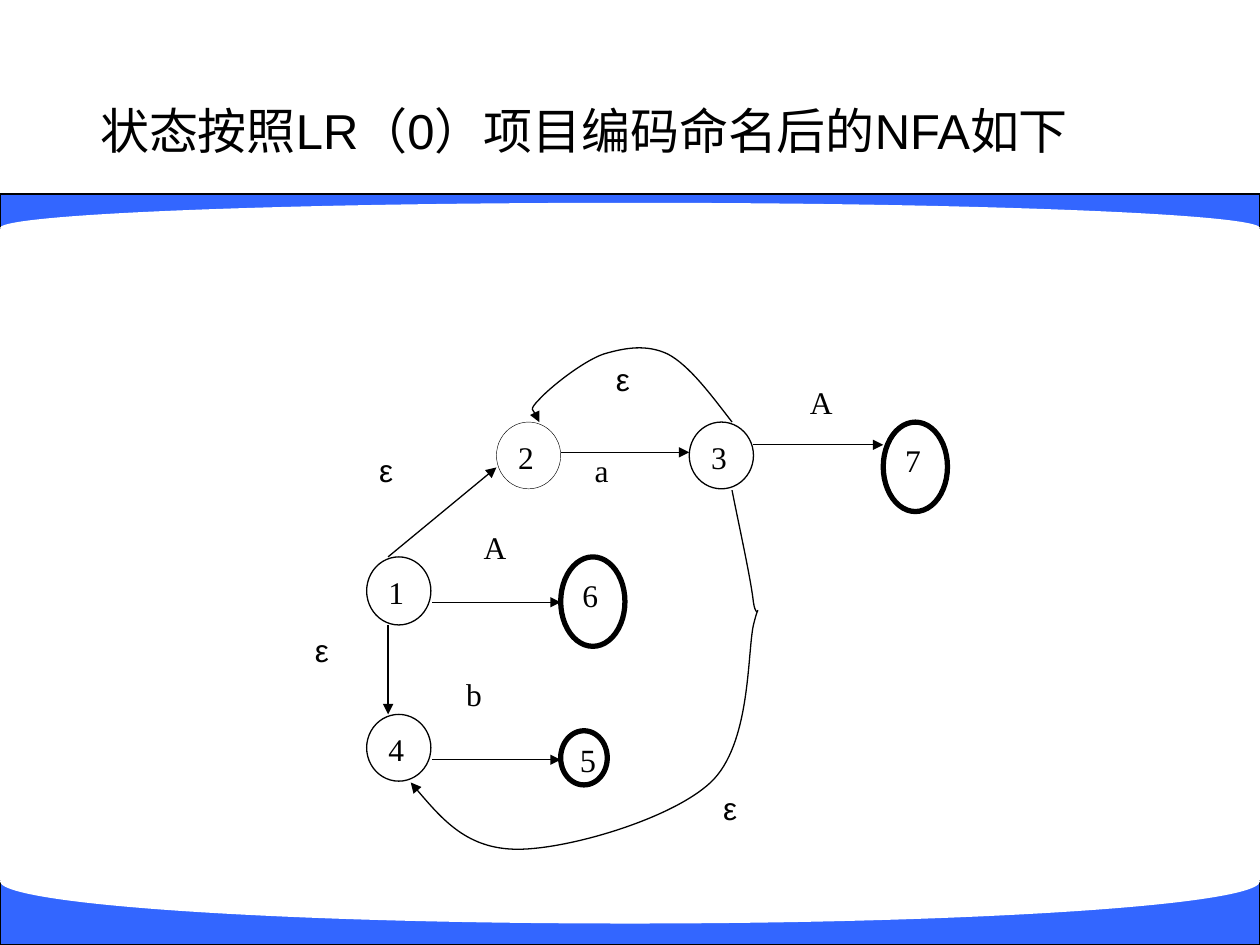
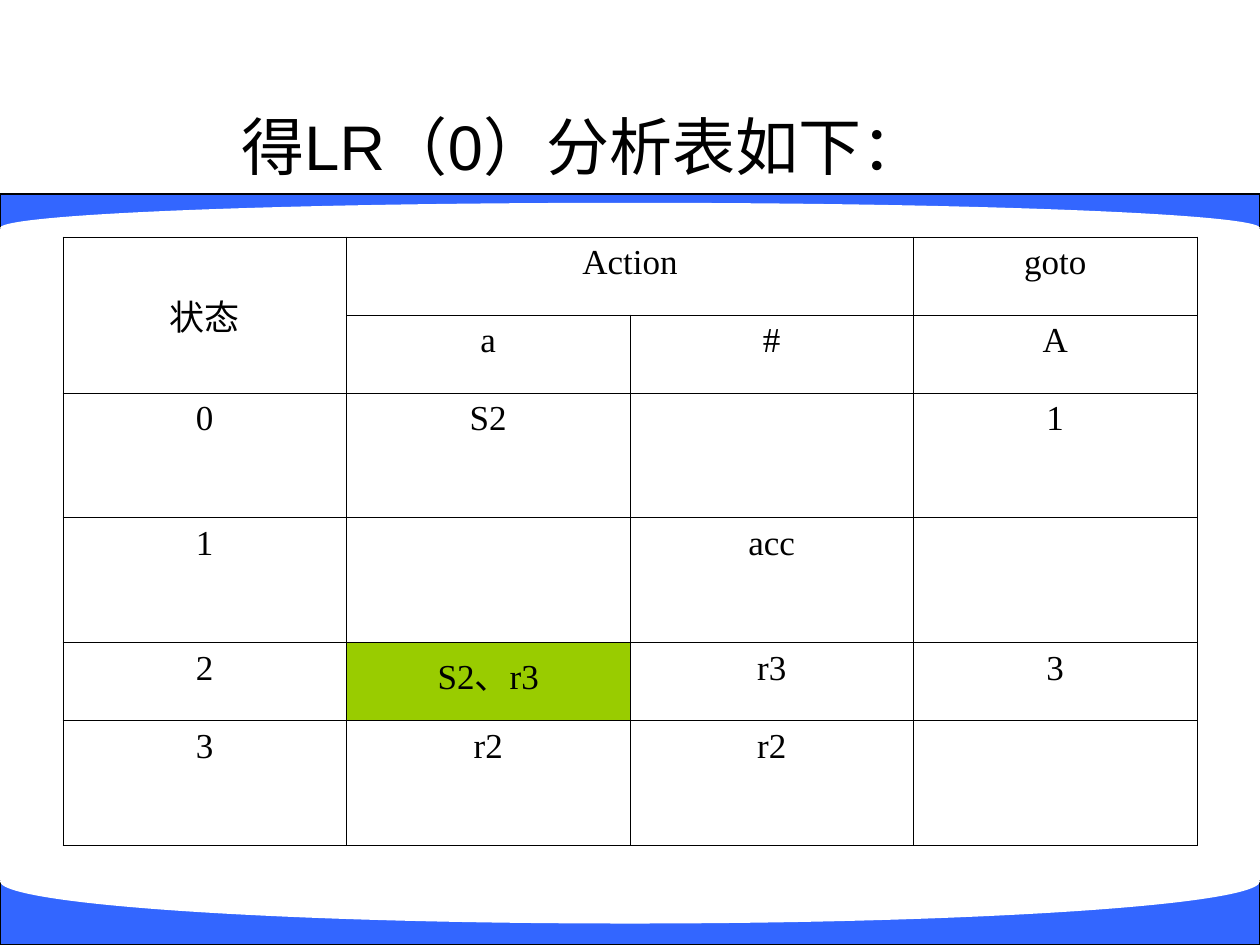
"""Build two slides on LR(0) parsing: the NFA of items and its parsing table."""
from dataclasses import dataclass
from typing import NamedTuple

from lxml import etree
from pptx import Presentation
from pptx.dml.color import RGBColor
from pptx.enum.shapes import MSO_CONNECTOR, MSO_SHAPE
from pptx.enum.text import MSO_ANCHOR, MSO_AUTO_SIZE, PP_ALIGN
from pptx.oxml.ns import qn
from pptx.util import Inches, Pt

OVAL, RECTANGLE = MSO_SHAPE.OVAL, MSO_SHAPE.RECTANGLE
STRAIGHT = MSO_CONNECTOR.STRAIGHT
TOP, MIDDLE = MSO_ANCHOR.TOP, MSO_ANCHOR.MIDDLE
CENTER, JUSTIFY = PP_ALIGN.CENTER, PP_ALIGN.JUSTIFY
NO_AUTOFIT = MSO_AUTO_SIZE.NONE

Point = tuple[float, float]


@dataclass(frozen=True)
class Theme:
    ink: RGBColor = RGBColor(0x00, 0x00, 0x00)
    paper: RGBColor = RGBColor(0xFF, 0xFF, 0xFF)
    band: RGBColor = RGBColor(0x33, 0x66, 0xFF)
    conflict: RGBColor = RGBColor(0x99, 0xCC, 0x00)
    sans: str = "Arial"
    serif: str = "Times New Roman"
    long_title_size: float = 28
    title_size: float = 36
    diagram_size: float = 18
    last_state_size: float = 18.5
    table_size: float = 20
    thin: float = 0.75
    hairline: float = 0.25
    accepting: float = 3
    table_border: float = 0.45


THEME = Theme()


class Box(NamedTuple):
    left: float
    top: float
    width: float
    height: float

    def lengths(self) -> list:
        return [Inches(value) for value in self]


class Band(NamedTuple):
    bar: Box
    curve: Box


class State(NamedTuple):
    number: str
    box: Box
    line: float = THEME.thin
    size: float = THEME.diagram_size
    spacing: float = 1.0


class Arrow(NamedTuple):
    start: Point
    end: Point


class Curve(NamedTuple):
    start: Point
    pieces: list[tuple[Point, Point, Point]]


class Label(NamedTuple):
    symbol: str
    left: float
    top: float
    font: str = THEME.serif


BANDS = [
    Band(Box(0, 1.54, 10, 0.27), Box(0, 1.61, 10, 0.4)),
    Band(Box(0, 6.99, 10, 0.51), Box(0, 6.66, 10, 0.67)),
]
STATES = [
    State("1", Box(2.91, 4.42, 0.51, 0.54)),
    State("4", Box(2.91, 5.67, 0.51, 0.53)),
    State("6", Box(4.45, 4.42, 0.51, 0.71), THEME.accepting),
    State("2", Box(3.94, 3.35, 0.51, 0.53), THEME.hairline),
    State("3", Box(5.47, 3.35, 0.51, 0.53)),
    State("7", Box(7.01, 3.35, 0.51, 0.71), THEME.accepting),
    State("5", Box(4.45, 5.8, 0.37, 0.43), THEME.accepting, THEME.last_state_size, 0.9),
]
ARROWS = [
    Arrow((3.08, 4.42), (3.94, 3.71)),
    Arrow((5.98, 3.53), (7.01, 3.53)),
    Arrow((3.43, 4.78), (4.45, 4.78)),
    Arrow((3.43, 6.03), (4.45, 6.03)),
    Arrow((3.08, 4.96), (3.08, 5.67)),
    Arrow((4.45, 3.59), (5.47, 3.59)),
]
CURVES = [
    Curve((5.81, 3.89), [
        ((5.88, 4.24), (5.96, 4.6), (5.98, 4.78)),
        ((6.01, 4.96), (6.04, 4.72), (5.98, 4.96)),
        ((5.93, 5.19), (5.96, 5.91), (5.64, 6.21)),
        ((5.33, 6.5), (4.51, 6.74), (4.11, 6.74)),
        ((3.71, 6.74), (3.48, 6.47), (3.26, 6.21)),
    ]),
    Curve((5.81, 3.35), [
        ((5.64, 3.13), (5.47, 2.9), (5.3, 2.81)),
        ((5.13, 2.73), (4.96, 2.76), (4.79, 2.81)),
        ((4.62, 2.87), (4.36, 3.08), (4.28, 3.17)),
        ((4.19, 3.26), (4.28, 3.32), (4.28, 3.35)),
    ]),
]
LABELS = [
    Label("ε", 4.79, 2.81, THEME.sans),
    Label("ε", 5.64, 6.21, THEME.sans),
    Label("ε", 2.4, 4.96, THEME.sans),
    Label("ε", 2.91, 3.53, THEME.sans),
    Label("b", 3.6, 5.31),
    Label("A", 6.33, 2.99),
    Label("A", 3.74, 4.14),
    Label("a", 4.62, 3.53),
]
PARSING_TABLE = [
    ["状态", "Action", "", "goto"],
    ["", "a", "#", "A"],
    ["0", "S2", "", "1"],
    ["1", "", "acc", ""],
    ["2", "S2、r3", "r3", "3"],
    ["3", "r2", "r2", ""],
]
ROW_HEIGHTS = [0.62, 0.62, 0.99, 0.99, 0.62, 0.99]
CONFLICT_CELL = (4, 1)


def write(frame, text: str, size: float, font: str, align, spacing: float = 1.0) -> None:
    """Fill a text frame with one formatted run."""
    paragraph = frame.paragraphs[0]
    paragraph.alignment = align
    paragraph.line_spacing = spacing
    run = paragraph.add_run()
    run.text = text
    run.font.size = Pt(size)
    run.font.name = font
    run.font.color.rgb = THEME.ink


def stroke(shape, width: float) -> None:
    """Give a shape or connector a solid ink line."""
    shape.line.color.rgb = THEME.ink
    shape.line.width = Pt(width)


def add_arrowhead(shape) -> None:
    """End a line with a triangle."""
    line = shape.element.spPr.find(qn("a:ln"))
    etree.SubElement(line, qn("a:tailEnd"), type="triangle")


def add_solid(slide, preset, box: Box, color: RGBColor, line: float = 0):
    """Add a filled preset shape, outlined when a line width is given."""
    solid = slide.shapes.add_shape(preset, *box.lengths())
    solid.shadow.inherit = False
    solid.fill.solid()
    solid.fill.fore_color.rgb = color
    if line:
        stroke(solid, line)
    else:
        solid.line.fill.background()
    return solid


def add_titled_slide(deck, text: str, box: Box, size: float):
    """Add a title-only slide and format its title."""
    slide = deck.slides.add_slide(deck.slide_layouts[5])
    title = slide.shapes.title
    title.left, title.top, title.width, title.height = box.lengths()
    title.text_frame.auto_size = NO_AUTOFIT
    title.text_frame.vertical_anchor = MIDDLE
    write(title.text_frame, text, size, THEME.sans, CENTER)
    return slide


def put_bands_on_layout(slide) -> None:
    """Draw the curved bands and move them to the shared layout."""
    layout_tree = slide.slide_layout.shapes.element
    solids = []
    for band in BANDS:
        solids.append(add_solid(slide, RECTANGLE, band.bar, THEME.band, THEME.thin))
        solids.append(add_solid(slide, OVAL, band.curve, THEME.paper))
    for position, solid in enumerate(solids, start=2):
        layout_tree.insert(position, solid.element)


def add_state(slide, state: State) -> None:
    """Draw one numbered automaton state."""
    circle = add_solid(slide, OVAL, state.box, THEME.paper, state.line)
    frame = circle.text_frame
    frame.word_wrap = True
    frame.vertical_anchor = TOP
    write(frame, state.number, state.size, THEME.serif, JUSTIFY, state.spacing)


def add_arrow(slide, arrow: Arrow) -> None:
    """Draw a straight transition."""
    ends = [Inches(value) for value in arrow.start + arrow.end]
    transition = slide.shapes.add_connector(STRAIGHT, *ends)
    stroke(transition, THEME.thin)
    add_arrowhead(transition)
    etree.SubElement(transition.element.spPr, qn("a:effectLst"))


def add_curve(slide, curve: Curve) -> None:
    """Draw a curved transition, turning each three segments into a cubic curve."""
    points = [(Inches(x), Inches(y)) for piece in curve.pieces for x, y in piece]
    builder = slide.shapes.build_freeform(*[Inches(value) for value in curve.start])
    builder.add_line_segments(points, close=False)
    transition = builder.convert_to_shape()
    segments = list(transition.element.iter(qn("a:lnTo")))
    for first in range(0, len(segments), 3):
        cubic = etree.SubElement(segments[first].getparent(), qn("a:cubicBezTo"))
        for segment in segments[first:first + 3]:
            cubic.append(segment[0])
            segment.getparent().remove(segment)
    transition.shadow.inherit = False
    transition.fill.background()
    stroke(transition, THEME.thin)
    add_arrowhead(transition)


def add_label(slide, label: Label) -> None:
    """Write the symbol of a transition."""
    box = Box(label.left, label.top, 0.51, 0.54)
    frame = slide.shapes.add_textbox(*box.lengths()).text_frame
    frame.word_wrap = True
    write(frame, label.symbol, THEME.diagram_size, label.font, JUSTIFY)


def add_borders(cell) -> None:
    """Rule all four sides of a table cell."""
    properties = cell._tc.get_or_add_tcPr()
    for side in ("a:lnL", "a:lnR", "a:lnT", "a:lnB"):
        line = etree.SubElement(properties, qn(side), w=str(Pt(THEME.table_border)))
        fill = etree.SubElement(line, qn("a:solidFill"))
        etree.SubElement(fill, qn("a:srgbClr"), val=str(THEME.ink))


def add_parsing_table(slide, box: Box) -> None:
    """Add the LR(0) action and goto table."""
    rows, columns = len(PARSING_TABLE), len(PARSING_TABLE[0])
    table = slide.shapes.add_table(rows, columns, *box.lengths()).table
    table.first_row = table.horz_banding = False
    for row, height in zip(table.rows, ROW_HEIGHTS):
        row.height = Inches(height)
    table.cell(0, 0).merge(table.cell(1, 0))
    table.cell(0, 1).merge(table.cell(0, 2))
    for r, entries in enumerate(PARSING_TABLE):
        for c, entry in enumerate(entries):
            cell = table.cell(r, c)
            add_borders(cell)
            if (r, c) == CONFLICT_CELL:
                cell.fill.solid()
                cell.fill.fore_color.rgb = THEME.conflict
            else:
                cell.fill.background()
            if entry:
                write(cell.text_frame, entry, THEME.table_size, THEME.serif, CENTER)
    table.cell(0, 0).vertical_anchor = MIDDLE


def main() -> None:
    """Build and save the deck."""
    deck = Presentation()
    deck.slide_width, deck.slide_height = Inches(10), Inches(7.5)

    nfa = add_titled_slide(deck, "状态按照LR（0）项目编码命名后的NFA如下",
                           Box(0.51, 0.6, 8.25, 0.86), THEME.long_title_size)
    put_bands_on_layout(nfa)
    for draw, items in ((add_state, STATES), (add_arrow, ARROWS),
                        (add_curve, CURVES), (add_label, LABELS)):
        for item in items:
            draw(nfa, item)

    parsing = add_titled_slide(deck, "得LR（0）分析表如下：",
                               Box(0.5, 0.76, 8.25, 0.79), THEME.title_size)
    add_parsing_table(parsing, Box(0.5, 1.88, 9, sum(ROW_HEIGHTS)))
    deck.save("out.pptx")


if __name__ == "__main__":
    main()
